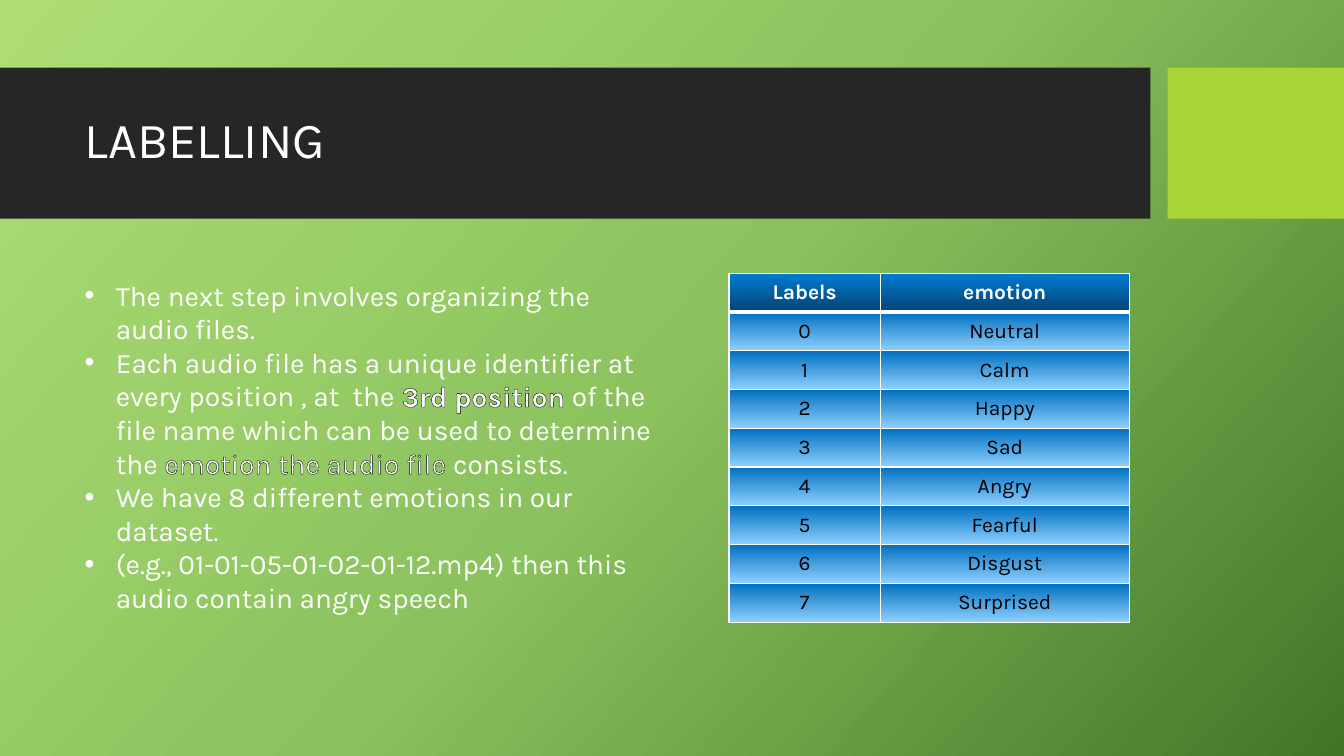
import pptx
import pptx.util
import pptx.dml.color
import pptx.enum.shapes
import pptx.enum.text
import pptx.oxml
import pptx.oxml.ns
from lxml import etree

Inches = pptx.util.Inches
Pt = pptx.util.Pt
RGB = pptx.dml.color.RGBColor
Align = pptx.enum.text.PP_ALIGN
Anchor = pptx.enum.text.MSO_ANCHOR
Fit = pptx.enum.text.MSO_AUTO_SIZE
qn = pptx.oxml.ns.qn

FACE = "Karla"
WHITE = RGB(0xFF, 0xFF, 0xFF)
BLACK = RGB(0, 0, 0)
DARK = RGB(0x26, 0x26, 0x26)
LIME = RGB(0xA7, 0xD5, 0x35)
BACK = [(0, RGB(0xAF, 0xDE, 0x77)), (50, RGB(0x8B, 0xC2, 0x5D)), (100, RGB(0x43, 0x75, 0x28))]
HEAD = [(0, RGB(0, 0x7B, 0xD3)), (100, RGB(0x03, 0x43, 0x73))]
BODY = [(0, RGB(0, 0x70, 0xC0)), (100, RGB(0x8E, 0xCF, 0xFD))]

EMOTIONS = ["Neutral", "Calm", "Happy", "Sad", "Angry", "Fearful", "Disgust", "Surprised"]
POINTS = [
    [("The next step involves organizing the audio files.", False, 0)],
    [
        ("Each audio file has a unique identifier at every position , at  the ", False, 0),
        ("3rd position", True, 0.75),
        (" of the file name which can be used to determine the ", False, 0),
        ("emotion the audio file", False, 1.06),
        (" consists. ", False, 0),
    ],
    [("We have 8 different emotions in our dataset.", False, 0)],
    [("(e.g., 01-01-05-01-02-01-12.mp4) then this audio contain angry speech", False, 0)],
]


def set_font(para, size, color, bold=False):
    font = para.font
    font.name = FACE
    font.size = Pt(size)
    font.bold = bold
    font.color.rgb = color


def set_grad(fill, owner, stops, angle):
    fill.gradient()
    grad = owner.find(".//" + qn("a:gradFill"))
    group = grad.find(qn("a:gsLst"))
    for stop in list(group):
        group.remove(stop)
    for place, color in stops:
        stop = etree.SubElement(group, qn("a:gs"), pos=str(place * 1000))
        etree.SubElement(stop, qn("a:srgbClr"), val=str(color))
    grad.find(qn("a:lin")).set("ang", str(angle * 60000))


def make_line(tag, width, color):
    line = pptx.oxml.parse_xml(f'<a:{tag} {pptx.oxml.ns.nsdecls("a")}/>')
    line.set("w", str(Pt(width)))
    solid = etree.SubElement(line, qn("a:solidFill"))
    etree.SubElement(solid, qn("a:srgbClr"), val=str(color))
    return line


def add_bar(slide, left, width, color):
    bar = slide.shapes.add_shape(
        pptx.enum.shapes.MSO_SHAPE.RECTANGLE,
        Inches(left), Inches(0.67), Inches(width), Inches(1.5))
    bar.shadow.inherit = False
    bar.fill.solid()
    bar.fill.fore_color.rgb = color
    bar.line.fill.background()


def set_title(slide, text):
    title = slide.shapes.title
    title.left, title.top = Inches(0.74), Inches(0.82)
    title.width, title.height = Inches(10.51), Inches(1.18)
    frame = title.text_frame
    frame.text = text
    frame.auto_size = Fit.NONE
    frame.vertical_anchor = Anchor.MIDDLE
    para = frame.paragraphs[0]
    para.alignment = Align.LEFT
    para.line_spacing = 0.9
    set_font(para, 36, WHITE)
    slide.shapes.element.append(title.element)


def set_cell(cell, text, row):
    cell.text = text
    cell.margin_left = cell.margin_right = Inches(0.14)
    cell.margin_top = cell.margin_bottom = Inches(0.07)
    para = cell.text_frame.paragraphs[0]
    para.alignment = Align.CENTER
    head = row == 0
    set_font(para, 15, WHITE if head else BLACK, head)
    props = cell._tc.get_or_add_tcPr()
    set_grad(cell.fill, props, HEAD if head else BODY, 90)
    widths = {"lnL": 1, "lnR": 1, "lnT": 3 if row == 1 else 1, "lnB": 3 if head else 1}
    for place, (tag, width) in enumerate(widths.items()):
        props.insert(place, make_line(tag, width, WHITE))


def add_labels(slide):
    rows = [("Labels", "emotion")] + [(str(i), name) for i, name in enumerate(EMOTIONS)]
    table = slide.shapes.add_table(
        len(rows), 2, Inches(7.23), Inches(2.71), Inches(3.97), Inches(3.46)).table
    table.horz_banding = False
    for column, width in zip(table.columns, (1.5, 2.47)):
        column.width = Inches(width)
    for r, row in enumerate(rows):
        for c, text in enumerate(row):
            set_cell(table.cell(r, c), text, r)


def add_points(slide):
    box = slide.shapes.add_textbox(Inches(0.74), Inches(2.71), Inches(5.95), Inches(3.47))
    frame = box.text_frame
    frame.word_wrap = True
    frame.auto_size = Fit.SHAPE_TO_FIT_TEXT
    for i, parts in enumerate(POINTS):
        para = frame.add_paragraph() if i else frame.paragraphs[0]
        set_font(para, 20, WHITE, None)
        props = para._p.get_or_add_pPr()
        props.set("marL", str(Inches(0.31)))
        props.set("indent", str(Inches(-0.31)))
        bullet = etree.Element(qn("a:buChar"), char="•")
        face = etree.Element(qn("a:buFont"), typeface="Arial")
        props.insert(0, face)
        props.insert(1, bullet)
        for text, bold, edge in parts:
            run = para.add_run()
            run.text = text
            if bold:
                run.font.bold = True
            if edge:
                run._r.get_or_add_rPr().insert(0, make_line("ln", edge, BLACK))


def main():
    deck = pptx.Presentation()
    deck.slide_width, deck.slide_height = Inches(13.33), Inches(7.5)
    slide = deck.slides.add_slide(deck.slide_layouts.get_by_name("Title Only"))
    set_grad(slide.background.fill, slide.element, BACK, 42)
    add_bar(slide, 0, 11.41, DARK)
    add_bar(slide, 11.58, 1.75, LIME)
    set_title(slide, "LABELLING")
    add_labels(slide)
    add_points(slide)
    deck.save("out.pptx")


main()
